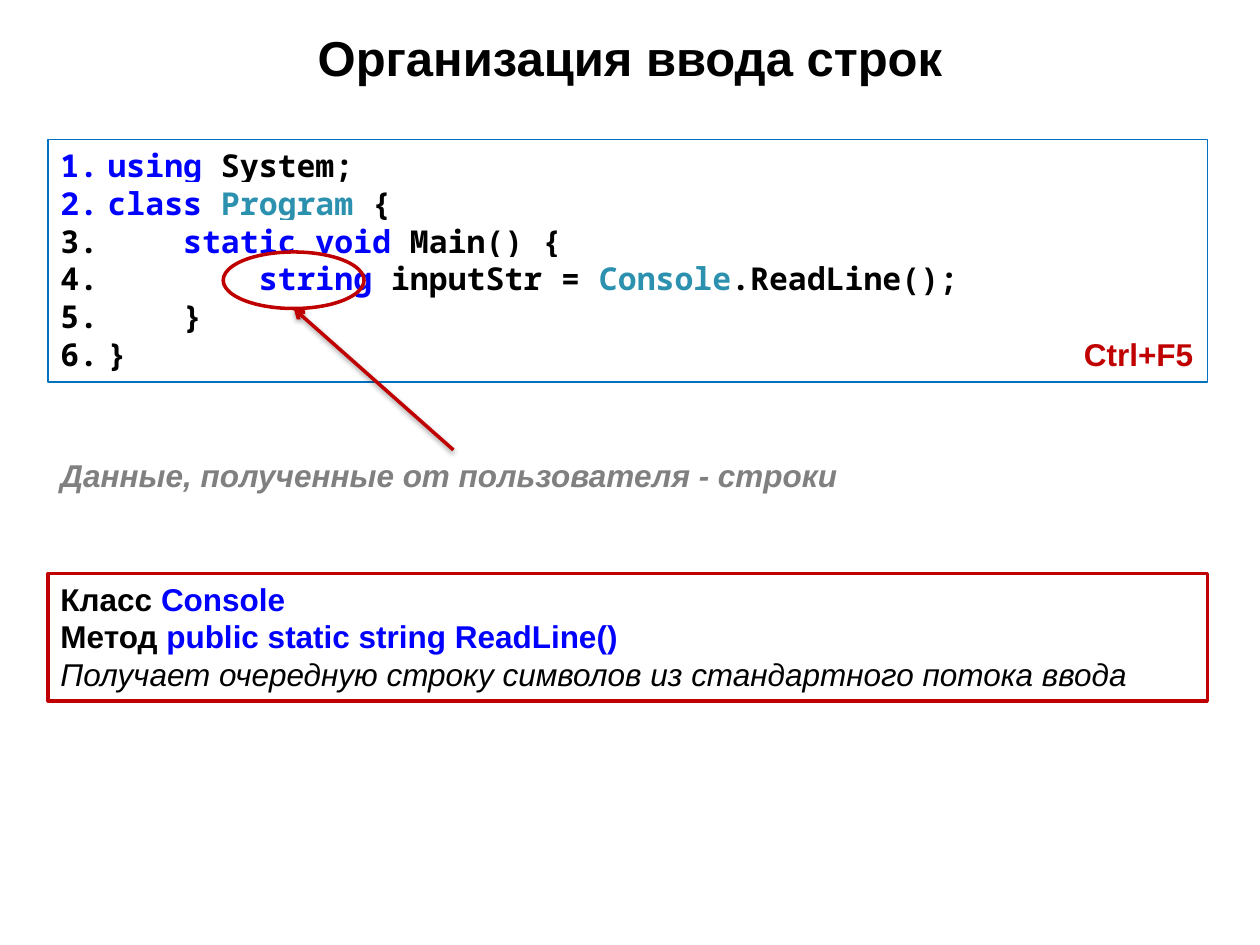
from dataclasses import dataclass

import lxml.etree
import pptx
import pptx.dml.color
import pptx.enum.shapes
import pptx.enum.text
import pptx.oxml.ns
import pptx.util

Cm = pptx.util.Cm
Pt = pptx.util.Pt
RGBColor = pptx.dml.color.RGBColor
Shapes = pptx.enum.shapes.MSO_SHAPE
Anchor = pptx.enum.text.MSO_ANCHOR
Align = pptx.enum.text.PP_ALIGN
AutoSize = pptx.enum.text.MSO_AUTO_SIZE


@dataclass(frozen=True)
class Theme:
    black: str = "000000"
    keyword: str = "0000FF"
    type_name: str = "2B91AF"
    accent: str = "C00000"
    muted: str = "808080"
    code_border: str = "0070C0"
    background: str = "FFFFFF"
    text_font: str = "Arial"
    code_font: str = "Noto Sans Mono"
    title_size: int = 28
    body_size: int = 18
    thin: float = 0.75
    thick: float = 2


THEME = Theme()

CODE = [
    [("using", THEME.keyword), (" System;", THEME.black)],
    [("class", THEME.keyword), (" ", THEME.black),
     ("Program", THEME.type_name), (" {", THEME.black)],
    [("    ", THEME.black), ("static", THEME.keyword), (" ", THEME.black),
     ("void", THEME.keyword), (" Main() {", THEME.black)],
    [("        ", THEME.black), ("string", THEME.keyword), (" inputStr = ", THEME.black),
     ("Console", THEME.type_name), (".ReadLine();", THEME.black)],
    [("    }", THEME.black)],
    [("}", THEME.black)],
]

REFERENCE = [
    [("Класс ", THEME.black), ("Console", THEME.keyword)],
    [("Метод ", THEME.black), ("public static string ReadLine()", THEME.keyword)],
]
SUMMARY = "Получает очередную строку символов из стандартного потока ввода"


def add_element(parent, tag, **attributes):
    return lxml.etree.SubElement(parent, pptx.oxml.ns.qn(tag), attributes)


def add_run(paragraph, text, color, size=THEME.body_size, font=THEME.text_font,
            bold=True, italic=False):
    run = paragraph.add_run()
    run.text = text
    run.font.size = Pt(size)
    run.font.bold = bold
    run.font.italic = italic
    run.font.color.rgb = RGBColor.from_string(color)
    run.font.name = font
    return run


def highlight(run, color):
    properties = run.font._element
    mark = add_element(properties, "a:highlight")
    add_element(mark, "a:srgbClr", val=color)
    properties.find(pptx.oxml.ns.qn("a:solidFill")).addnext(mark)


def number_paragraph(paragraph, indent):
    properties = paragraph._p.get_or_add_pPr()
    properties.set("marL", str(indent))
    properties.set("indent", str(-indent))
    add_element(properties, "a:buFont", typeface="+mj-lt")
    add_element(properties, "a:buAutoNum", type="arabicPeriod")


def add_outline(slide, kind, box, color, width):
    shape = slide.shapes.add_shape(kind, *box)
    shape.shadow.inherit = False
    shape.fill.background()
    shape.line.color.rgb = RGBColor.from_string(color)
    shape.line.width = Pt(width)
    frame = shape.text_frame
    frame.word_wrap = True
    frame.vertical_anchor = Anchor.TOP
    return shape


def add_lines(frame, count):
    frame.auto_size = AutoSize.SHAPE_TO_FIT_TEXT
    paragraphs = [frame.paragraphs[0]] + [frame.add_paragraph() for _ in range(count - 1)]
    for paragraph in paragraphs:
        paragraph.alignment = Align.LEFT
    return paragraphs


def add_title(slide, box, text):
    frame = slide.shapes.add_textbox(*box).text_frame
    frame.word_wrap = True
    frame.vertical_anchor = Anchor.MIDDLE
    paragraph = frame.paragraphs[0]
    paragraph.alignment = Align.CENTER
    add_run(paragraph, text, THEME.black, THEME.title_size)


def add_label(slide, box, text, color, italic=False):
    frame = slide.shapes.add_textbox(*box).text_frame
    frame.word_wrap = False
    frame.auto_size = AutoSize.SHAPE_TO_FIT_TEXT
    add_run(frame.paragraphs[0], text, color, italic=italic)


def add_code_panel(slide, box):
    left, top, width, height = box
    shape = add_outline(slide, Shapes.RECTANGLE, box, THEME.code_border, THEME.thin)
    for paragraph, line in zip(add_lines(shape.text_frame, len(CODE)), CODE):
        number_paragraph(paragraph, Cm(0.95))
        for text, color in line:
            highlight(add_run(paragraph, text, color, font=THEME.code_font), THEME.background)
    label_width, label_height = Cm(2.74), Cm(1.02)
    label_box = (left + width - label_width, top + height - label_height - Cm(0.05),
                 label_width, label_height)
    add_label(slide, label_box, "Ctrl+F5", THEME.accent)


def add_callout(slide, box):
    left, top, width, height = box
    ring_width, ring_height = Cm(2.84), Cm(1.14)
    add_outline(slide, Shapes.OVAL, (left, top, ring_width, ring_height),
                THEME.accent, THEME.thick)
    arrow = slide.shapes.add_connector(
        pptx.enum.shapes.MSO_CONNECTOR.STRAIGHT,
        left + width, top + height, left + ring_width // 2, top + ring_height)
    arrow.line.color.rgb = RGBColor.from_string(THEME.accent)
    arrow.line.width = Pt(THEME.thick)
    add_element(arrow.line._get_or_add_ln(), "a:tailEnd", type="arrow")
    effects = add_element(arrow._element.spPr, "a:effectLst")
    shadow = add_element(effects, "a:outerShdw", blurRad=str(Pt(3.1)), dist=str(Pt(1.6)),
                         dir="5400000", rotWithShape="0")
    color = add_element(shadow, "a:srgbClr", val=THEME.black)
    add_element(color, "a:alpha", val="38000")


def add_reference_panel(slide, box):
    shape = add_outline(slide, Shapes.RECTANGLE, box, THEME.accent, THEME.thick)
    *headings, summary = add_lines(shape.text_frame, len(REFERENCE) + 1)
    for paragraph, line in zip(headings, REFERENCE):
        for text, color in line:
            add_run(paragraph, text, color)
    add_run(summary, SUMMARY, THEME.black, bold=False, italic=True)


def main():
    presentation = pptx.Presentation()
    presentation.slide_width = Cm(25.4)
    presentation.slide_height = Cm(19.05)
    slide = presentation.slides.add_slide(presentation.slide_layouts[6])
    left, width = Cm(0.97), Cm(23.37)
    add_code_panel(slide, (left, Cm(2.82), width, Cm(4.88)))
    add_title(slide, (Cm(1.27), Cm(0.53), Cm(22.86), Cm(1.24)), "Организация ввода строк")
    add_label(slide, (left, Cm(9.07), Cm(16.38), Cm(1.02)),
              "Данные, полученные от пользователя - строки", THEME.muted, italic=True)
    add_callout(slide, (Cm(4.5), Cm(5.08), Cm(4.64), Cm(3.99)))
    add_reference_panel(slide, (left, Cm(11.56), width, Cm(2.57)))
    presentation.save("out.pptx")


if __name__ == "__main__":
    main()
